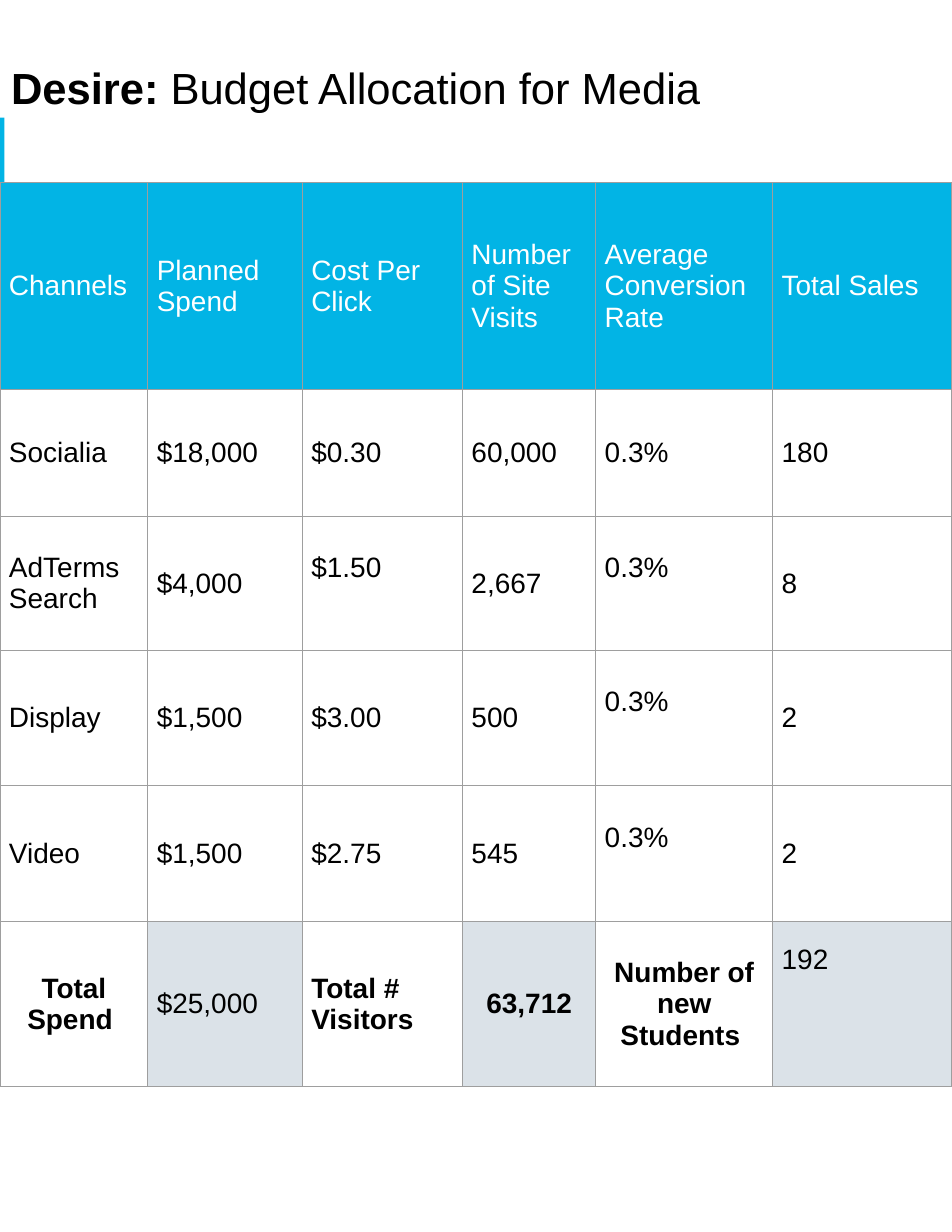
from lxml import etree
from pptx import Presentation
from pptx.dml.color import RGBColor
from pptx.enum.shapes import MSO_SHAPE
from pptx.enum.text import MSO_ANCHOR, PP_ALIGN
from pptx.oxml.ns import qn
from pptx.util import Inches, Pt

LEFT, CENTER = PP_ALIGN.LEFT, PP_ALIGN.CENTER
TOP, MIDDLE = MSO_ANCHOR.TOP, MSO_ANCHOR.MIDDLE
CYAN = RGBColor(0x02, 0xB4, 0xE5)
PALE = RGBColor(0xDB, 0xE2, 0xE8)
WHITE = RGBColor(0xFF, 0xFF, 0xFF)
BLACK = RGBColor(0, 0, 0)
BORDER = "9E9E9E"

# Content
TITLE = [("Desire:", True), (" Budget Allocation for Media", False)]
ROWS = [
    ["Channels", "Planned Spend", "Cost Per Click", "Number of Site Visits",
     "Average Conversion Rate", "Total Sales"],
    ["Socialia", "$18,000", "$0.30", "60,000", "0.3%", "180"],
    ["AdTerms Search", "$4,000", "$1.50", "2,667", "0.3%", "8"],
    ["Display", "$1,500", "$3.00", "500", "0.3%", "2"],
    ["Video", "$1,500", "$2.75", "545", "0.3%", "2"],
    ["Total Spend ", "$25,000", "Total # Visitors", "63,712",
     "Number of new Students ", "192"],
]
COLUMN_WIDTHS = [1.32, 1.38, 1.43, 1.19, 1.58, 1.6]
ROW_HEIGHTS = [1.85, 1.13, 1.2, 1.2, 1.22, 1.47]
LAST_ROW = len(ROWS) - 1
RAISED = {(2, 2), (2, 4), (3, 4), (4, 4)}  # text sits half a line higher
TOTAL_FILLED = {1, 3, 5}
TOTAL_BOLD = {0, 2, 3, 4}
TOTAL_CENTERED = {0, 3, 4}


def write(frame, runs, size=18, color=BLACK, align=LEFT):
    paragraph = frame.paragraphs[0]
    paragraph.alignment = align
    for text, bold in runs:
        run = paragraph.add_run()
        run.text = text
        run.font.name = "Arial"
        run.font.size = Pt(size)
        run.font.bold = bold
        run.font.color.rgb = color


def add_borders(cell):
    properties = cell._tc.get_or_add_tcPr()
    for position, side in enumerate(("lnL", "lnR", "lnT", "lnB")):
        line = etree.Element(qn(f"a:{side}"), w=str(Pt(0.75)))
        fill = etree.SubElement(line, qn("a:solidFill"))
        etree.SubElement(fill, qn("a:srgbClr"), val=BORDER)
        properties.insert(position, line)


presentation = Presentation()
presentation.slide_width, presentation.slide_height = Inches(8.5), Inches(11)
slide = presentation.slides.add_slide(presentation.slide_layouts[6])

# Accent bar
bar = slide.shapes.add_shape(MSO_SHAPE.RECTANGLE, 0, Inches(1.05),
                             Inches(0.04), Inches(1.02))
bar.shadow.inherit = False
bar.fill.solid()
bar.fill.fore_color.rgb = CYAN
bar.line.fill.background()

# Title
title = slide.shapes.add_textbox(0, Inches(0.4), Inches(7.92), Inches(1.22))
title_frame = title.text_frame
title_frame.word_wrap = True
title_frame.margin_left = title_frame.margin_right = Inches(0.1)
title_frame.margin_top = Inches(0.14)
write(title_frame, TITLE, size=28)

# Budget table
table = slide.shapes.add_table(
    len(ROWS), len(COLUMN_WIDTHS), 0, Inches(1.63),
    Inches(sum(COLUMN_WIDTHS)), Inches(sum(ROW_HEIGHTS))).table
for column, width in zip(table.columns, COLUMN_WIDTHS):
    column.width = Inches(width)
for row, height in zip(table.rows, ROW_HEIGHTS):
    row.height = Inches(height)

for r, values in enumerate(ROWS):
    for c, value in enumerate(values):
        cell = table.cell(r, c)
        header, total = r == 0, r == LAST_ROW
        cell.margin_left = cell.margin_right = Inches(0.08)
        cell.margin_top = Inches(0.2)
        cell.margin_bottom = Inches(0.48 if (r, c) in RAISED else 0.2)
        cell.vertical_anchor = TOP if total and c == 5 else MIDDLE
        if header or (total and c in TOTAL_FILLED):
            cell.fill.solid()
            cell.fill.fore_color.rgb = CYAN if header else PALE
        else:
            cell.fill.background()
        add_borders(cell)
        write(cell.text_frame, [(value, total and c in TOTAL_BOLD)],
              color=WHITE if header else BLACK,
              align=CENTER if total and c in TOTAL_CENTERED else LEFT)

presentation.save("out.pptx")
